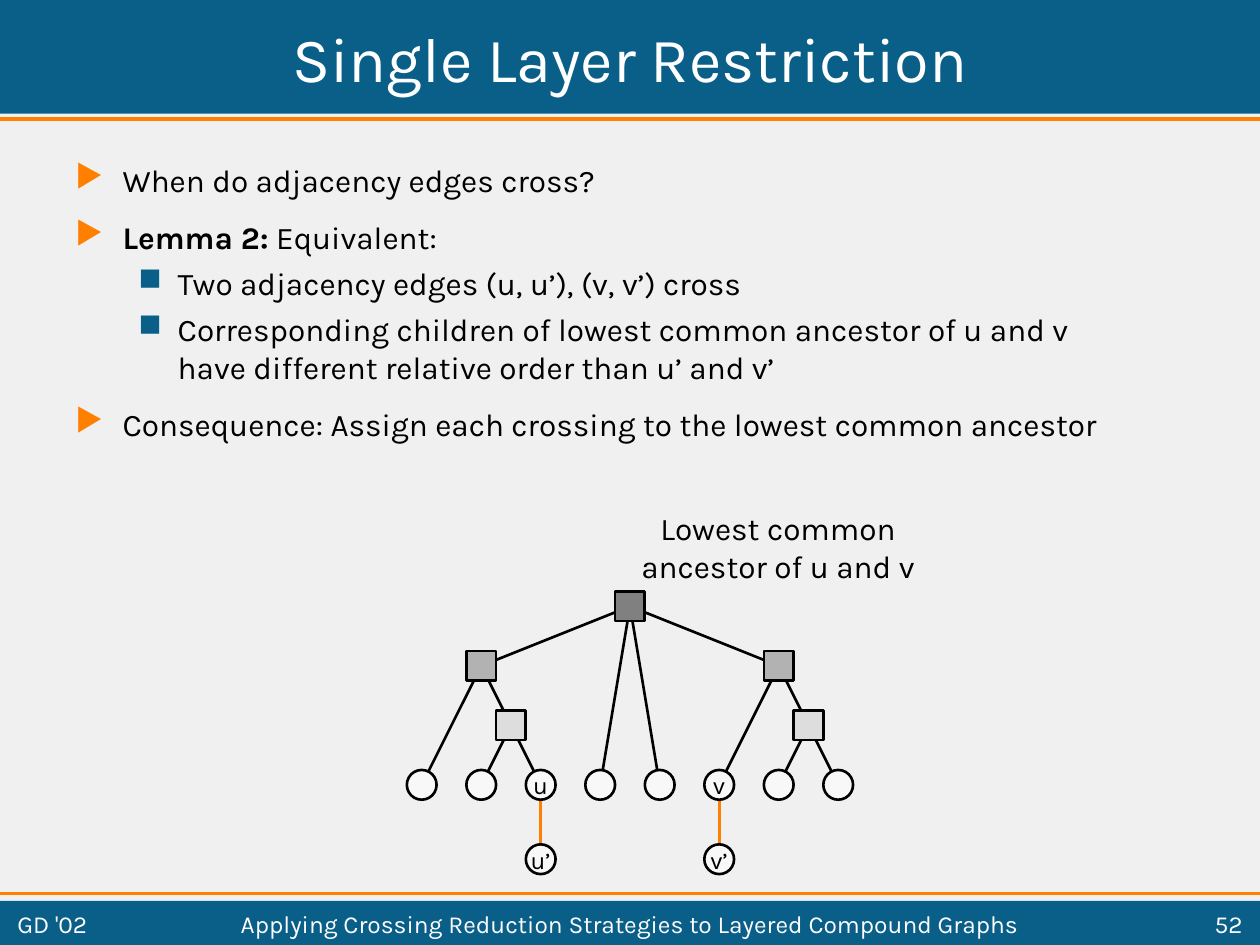
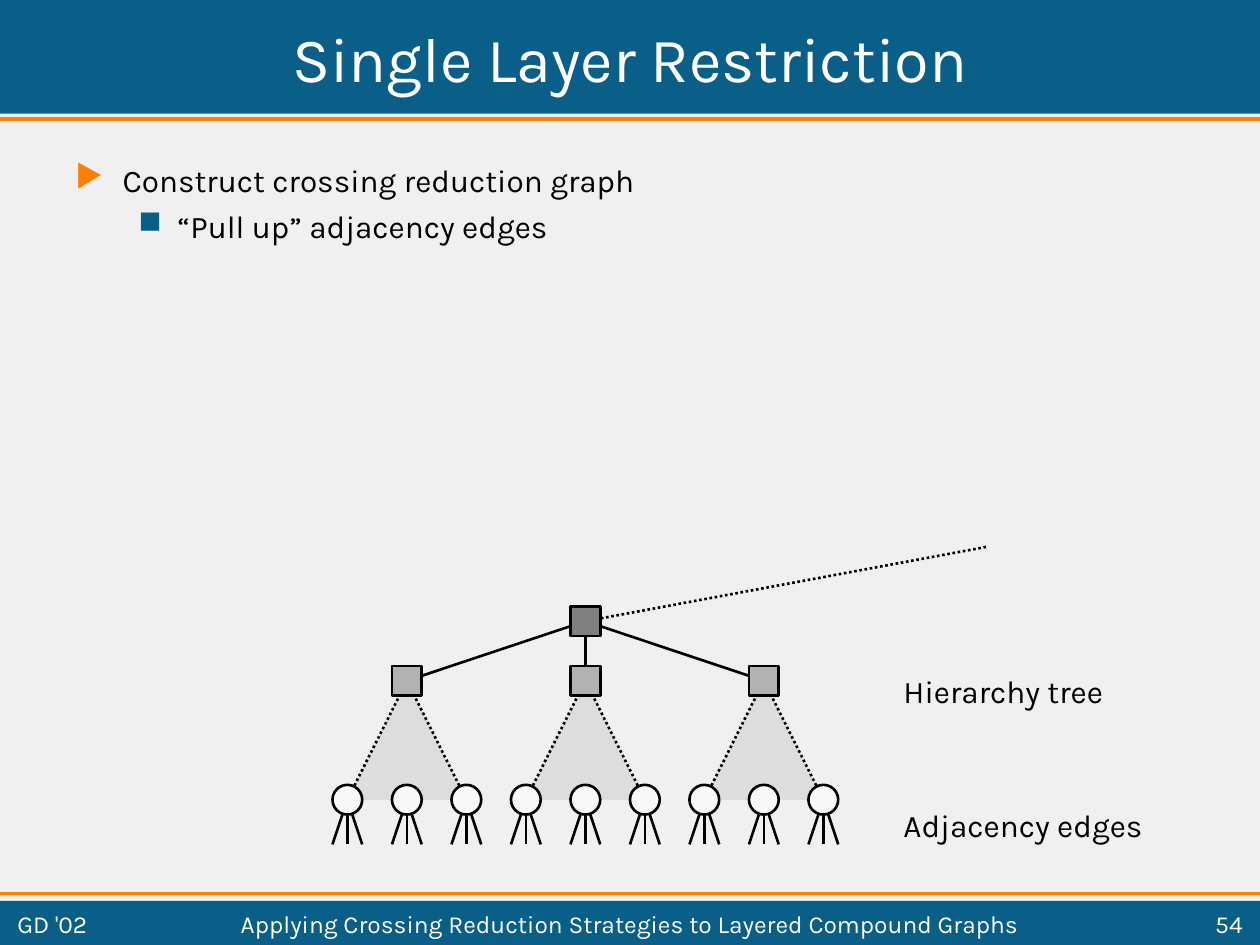
from lxml import etree
from pptx import Presentation
from pptx.dml.color import RGBColor
from pptx.enum import dml, shapes, text
from pptx.oxml import ns
from pptx.util import Pt

BLUE = RGBColor(0x0A, 0x5F, 0x89)
ORANGE = RGBColor(0xFF, 0x7F, 0x00)
PAPER = RGBColor(0xF0, 0xF0, 0xF0)
WHITE = RGBColor(0xFF, 0xFF, 0xFF)
BLACK = RGBColor(0, 0, 0)
DARK = RGBColor(0x80, 0x80, 0x80)
MID = RGBColor(0xB2, 0xB2, 0xB2)
LIGHT = RGBColor(0xDD, 0xDD, 0xDD)
LEAF = RGBColor(0xF8, 0xF8, 0xF8)

RECT, OVAL = shapes.MSO_SHAPE.RECTANGLE, shapes.MSO_SHAPE.OVAL
LEFT, CENTER, RIGHT = text.PP_ALIGN.LEFT, text.PP_ALIGN.CENTER, text.PP_ALIGN.RIGHT
TOP, MIDDLE = text.MSO_ANCHOR.TOP, text.MSO_ANCHOR.MIDDLE
DOTTED = dml.MSO_LINE.ROUND_DOT
STEP, NODE = 34, 17
BULLETS = [
    {"char": "▶", "color": ORANGE, "marL": 27, "indent": -27, "before": 11.2},
    {"char": "■", "color": BLUE, "marL": 58.5, "indent": -22.5, "before": 4.5},
]


def line(s, start, end, color=BLACK, width=1.5, dash=None):
    c = s.shapes.add_connector(shapes.MSO_CONNECTOR.STRAIGHT, *map(Pt, start + end))
    c.line.color.rgb = color
    for key, value in {"width": Pt(width), "dash_style": dash}.items():
        setattr(c.line, key, value)
    etree.SubElement(c.element.spPr, ns.qn("a:effectLst"))


def box(s, at, kind=None, fill=None, outline=False, words="", size=14, color=BLACK,
        align=CENTER, anchor=MIDDLE, wrap=False):
    if kind is None:
        sp = s.shapes.add_textbox(*map(Pt, at))
    else:
        sp = s.shapes.add_shape(kind, *map(Pt, at))
        sp.shadow.inherit = False
        sp.fill.solid()
        sp.fill.fore_color.rgb = fill
        if outline:
            sp.line.color.rgb = BLACK
            sp.line.width = Pt(1.5)
        else:
            sp.line.fill.background()
    tf = sp.text_frame
    for key, value in {"word_wrap": wrap, "vertical_anchor": anchor}.items():
        setattr(tf, key, value)
    for i, part in enumerate(words.split("\n") if words else []):
        p = tf.add_paragraph() if i else tf.paragraphs[0]
        p.alignment = align
        r = p.add_run()
        r.text = part
        for key, value in {"name": "Karla", "size": Pt(size)}.items():
            setattr(r.font, key, value)
        r.font.color.rgb = color
    return sp


prs = Presentation()
prs.slide_width, prs.slide_height = Pt(720), Pt(540)

pages = [
    ("52", [
        (0, "", "When do adjacency edges cross?"),
        (0, "Lemma 2:", " Equivalent:"),
        (1, "", "Two adjacency edges (u, u’), (v, v’) cross"),
        (1, "", "Corresponding children of lowest common ancestor of u and v\n"
                "have different relative order than u’ and v’"),
        (0, "", "Consequence: Assign each crossing to the lowest common ancestor"),
    ]),
    ("54", [
        (0, "", "Construct crossing reduction graph"),
        (1, "", "“Pull up” adjacency edges"),
    ]),
]

for number, items in pages:
    s = prs.slides.add_slide(prs.slide_layouts[6])
    s.background.fill.solid()
    s.background.fill.fore_color.rgb = PAPER
    box(s, (0, 0, 720, 65), RECT, BLUE)
    box(s, (0, 514.8, 720, 25.2), RECT, BLUE)
    for y in (67.8, 510.6):
        line(s, (0, y), (720, y), ORANGE, 2.25)
    box(s, (2.8, 2.8, 714.4, 60), words="Single Layer Restriction", size=36,
        color=WHITE, wrap=True)
    for left, width, words, align in [
        (2.8, 85, "GD '02", LEFT),
        (93.6, 532.8, "Applying Crossing Reduction Strategies to Layered Compound Graphs", CENTER),
        (632.2, 85, number, RIGHT),
    ]:
        box(s, (left, 517.6, width, 20), words=words, color=WHITE, align=align, wrap=True)

    tf = box(s, (36, 88.5, 648, 198), anchor=TOP, wrap=True).text_frame
    for i, (level, strong, words) in enumerate(items):
        p = tf.add_paragraph() if i else tf.paragraphs[0]
        b = BULLETS[level]
        p.level = level
        p.space_before = Pt(b["before"])
        pPr = p._p.get_or_add_pPr()
        for key in ("marL", "indent"):
            pPr.set(key, str(Pt(b[key])))
        tint = etree.SubElement(pPr, ns.qn("a:buClr"))
        etree.SubElement(tint, ns.qn("a:srgbClr"), val=str(b["color"]))
        etree.SubElement(pPr, ns.qn("a:buChar"), char=b["char"])
        rows = words.split("\n")
        for part, bold in [(strong, True)] + [(row, False) for row in rows]:
            if not part:
                continue
            if part in rows[1:]:
                p.add_line_break()
            r = p.add_run()
            r.text = part
            for key, value in {"name": "Karla", "size": Pt(18), "bold": bold}.items():
                setattr(r.font, key, value)
            r.font.color.rgb = BLACK

s = prs.slides[0]
root_y, child_y, inner_y, leaf_y = [346.5 + STEP * i for i in range(4)]
partner_y = 491
leaves = [(241 + STEP * i, leaf_y) for i in range(8)]
u, v = leaves[2], leaves[5]
root = (360, root_y)
children = [(275, child_y), (445, child_y)]
inners = [(292, inner_y), (462, inner_y)]
partners = [(x, partner_y) for x, _ in (u, v)]

for leaf, partner in zip((u, v), partners):
    line(s, partner, leaf, ORANGE)
for node in children + leaves[3:5]:
    line(s, node, root)
for i, (child, inner) in enumerate(zip(children, inners)):
    first = 5 * i
    line(s, leaves[first], child)
    line(s, inner, child)
    for leaf in leaves[first + 1:first + 3]:
        line(s, leaf, inner)

names = dict(zip([u, v] + partners, ["u", "v", "u’", "v’"]))
for nodes, kind, fill in [([root], RECT, DARK), (children, RECT, MID),
                          (inners, RECT, LIGHT), (leaves + partners, OVAL, LEAF)]:
    for x, y in nodes:
        box(s, (x - NODE / 2, y - NODE / 2, NODE, NODE), kind, fill, True,
            names.get((x, y), ""))
box(s, (356.4, 287.3, 176.4, 50.4), words="Lowest common\nancestor of u and v",
    size=18, anchor=TOP)

s = prs.slides[1]
root = (334.5, 355)
children = [(root[0] + 3 * STEP * i, 389) for i in (-1, 0, 1)]
leaves = [(root[0] + STEP * i, 457) for i in range(-4, 5)]

for x, y in leaves:
    for dx in (-NODE / 2, 0, NODE / 2):
        line(s, (x, y), (x + dx, 482.5))
line(s, root, (563.8, 312.5), dash=DOTTED)
for i, child in enumerate(children):
    ends = leaves[3 * i], leaves[3 * i + 2]
    fb = s.shapes.build_freeform(*map(Pt, child))
    fb.add_line_segments([tuple(map(Pt, end)) for end in ends], close=True)
    sp = fb.convert_to_shape()
    sp.shadow.inherit = False
    sp.fill.solid()
    sp.fill.fore_color.rgb = LIGHT
    sp.line.fill.background()
    line(s, child, root)
    for end in ends:
        line(s, end, child, dash=DOTTED)

for nodes, kind, fill in [([root], RECT, DARK), (children, RECT, MID), (leaves, OVAL, LEAF)]:
    for x, y in nodes:
        box(s, (x - NODE / 2, y - NODE / 2, NODE, NODE), kind, fill, True)
for y, width, words in [(380.4, 135.4, "Hierarchy tree"), (457, 154.8, "Adjacency edges")]:
    box(s, (509.2, y, width, 28.8), words=words, size=18, align=LEFT, anchor=TOP)

prs.save("out.pptx")
